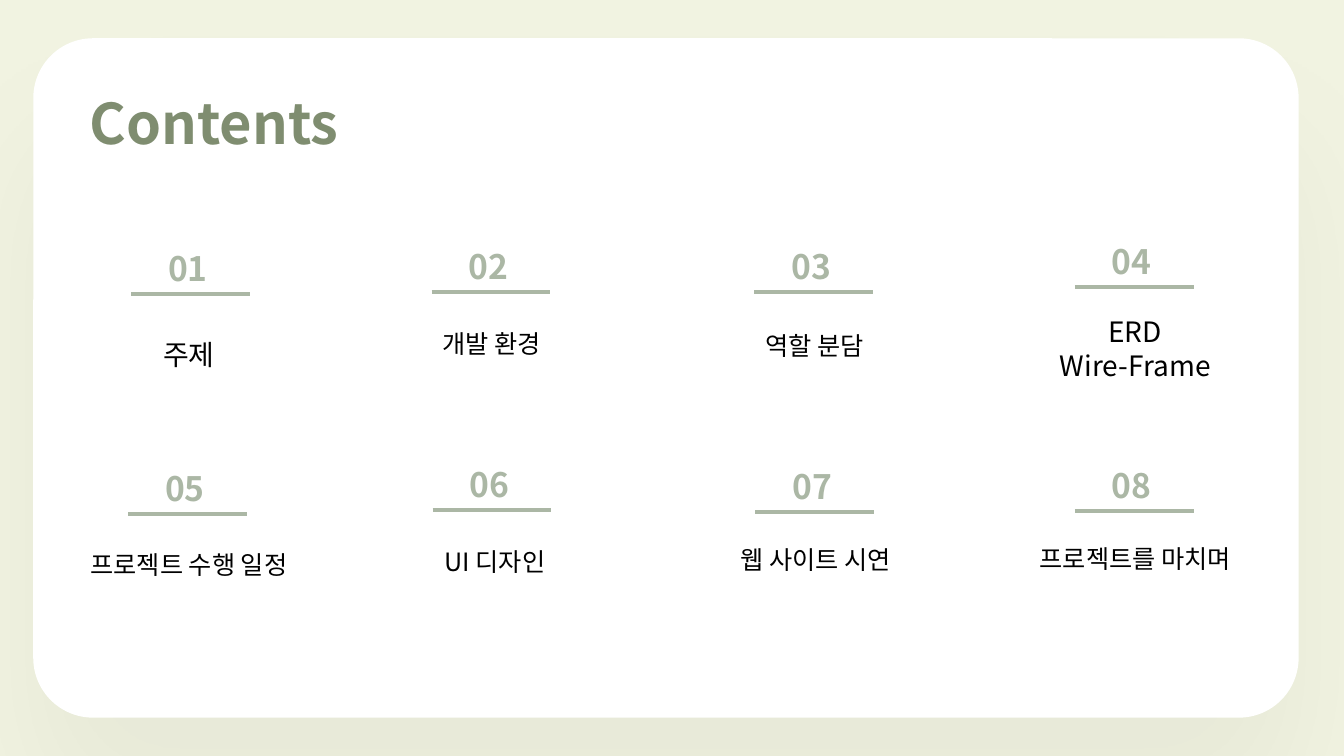
from lxml.etree import SubElement as Sub
from pptx import Presentation
from pptx.dml.color import RGBColor as RGB
from pptx.enum.shapes import MSO_CONNECTOR as CONN, MSO_SHAPE as SHAPE
from pptx.enum.text import MSO_AUTO_SIZE as FIT, PP_ALIGN as ALIGN
from pptx.oxml.ns import qn
from pptx.util import Inches, Pt

FONT = "Noto Sans CJK KR"
SAGE = "ABB7A5"
MOSS = "7F8D70"
CREAM = "F1F3E1"

TOPICS = [
    ("01", 1.3, 2.92, "주제", (1.52, 3.13, 0.97, 0.56), dict(size=20, space=1.5)),
    ("02", 4.28, 2.9, "개발 환경", (4.29, 3.21, 1.44, 0.4), {}),
    ("03", 7.48, 2.9, "역할 분담", (7.49, 3.23, 1.18, 0.4), {}),
    ("04", 10.66, 2.85, "ERD\nWire-Frame", (10.04, 3.07, 2.44, 0.77),
     dict(size=20, align=ALIGN.CENTER)),
    ("05", 1.27, 5.1, "프로젝트 수행 일정", (0.8, 5.4, 2.44, 0.4), {}),
    ("06", 4.29, 5.06, "UI 디자인", (4.31, 5.37, 2.44, 0.4), {}),
    ("07", 7.49, 5.08, "웹 사이트 시연", (6.87, 5.35, 2.44, 0.4),
     dict(align=ALIGN.CENTER)),
    ("08", 10.66, 5.07, "프로젝트를 마치며", (10.04, 5.34, 2.44, 0.4),
     dict(align=ALIGN.CENTER)),
]


def paint(item, color):
    item.rgb = RGB.from_string(color)


def add_text(slide, text, box, size=18, color="000000", bold=False,
             align=ALIGN.LEFT, space=None):
    frame = slide.shapes.add_textbox(*map(Inches, box)).text_frame
    frame.word_wrap = True
    frame.auto_size = FIT.SHAPE_TO_FIT_TEXT
    frame.text = text
    for para in frame.paragraphs:
        para.alignment = align
        para.line_spacing = space
        for run in para.runs:
            font = run.font
            font.name, font.size, font.bold = FONT, Pt(size), bold
            paint(font.color, color)
            Sub(font._element, qn("a:ea"), typeface=FONT)


def add_rule(slide, left, top):
    rule = slide.shapes.add_connector(
        CONN.STRAIGHT, Inches(left), Inches(top), Inches(left + 1.18), Inches(top))
    paint(rule.line.color, SAGE)
    rule.line.width = Pt(3)
    Sub(rule._element.spPr, qn("a:effectLst"))


def add_card(slide, box):
    card = slide.shapes.add_shape(SHAPE.ROUNDED_RECTANGLE, *map(Inches, box))
    card.adjustments[0] = 0.088
    card.fill.solid()
    paint(card.fill.fore_color, "FFFFFF")
    card.line.fill.background()
    card.shadow.inherit = False
    glow = Sub(card._element.spPr.find(qn("a:effectLst")), qn("a:outerShdw"),
               blurRad=str(Pt(100)), dist=str(Pt(68.2)), dir="5400000",
               algn="t", rotWithShape="0")
    shade = Sub(glow, qn("a:srgbClr"), val="000000")
    Sub(shade, qn("a:alpha"), val="4000")


def add_topic(slide, number, left, top, label, box, style):
    add_rule(slide, left, top)
    add_text(slide, number, (left + 0.27, top - 0.71, 0.8, 0.65),
             size=24, color=SAGE, bold=True, space=1.5)
    add_text(slide, label, box, **style)


def main():
    deck = Presentation()
    deck.slide_width, deck.slide_height = Inches(13.33), Inches(7.5)
    slide = deck.slides.add_slide(deck.slide_layouts[6])
    fill = slide.background.fill
    fill.solid()
    paint(fill.fore_color, CREAM)
    add_card(slide, (0.33, 0.38, 12.55, 6.74))
    add_text(slide, "Contents", (0.79, 0.83, 2.81, 0.77),
             size=40, color=MOSS, bold=True)
    for topic in TOPICS:
        add_topic(slide, *topic)
    deck.save("out.pptx")


if __name__ == "__main__":
    main()
